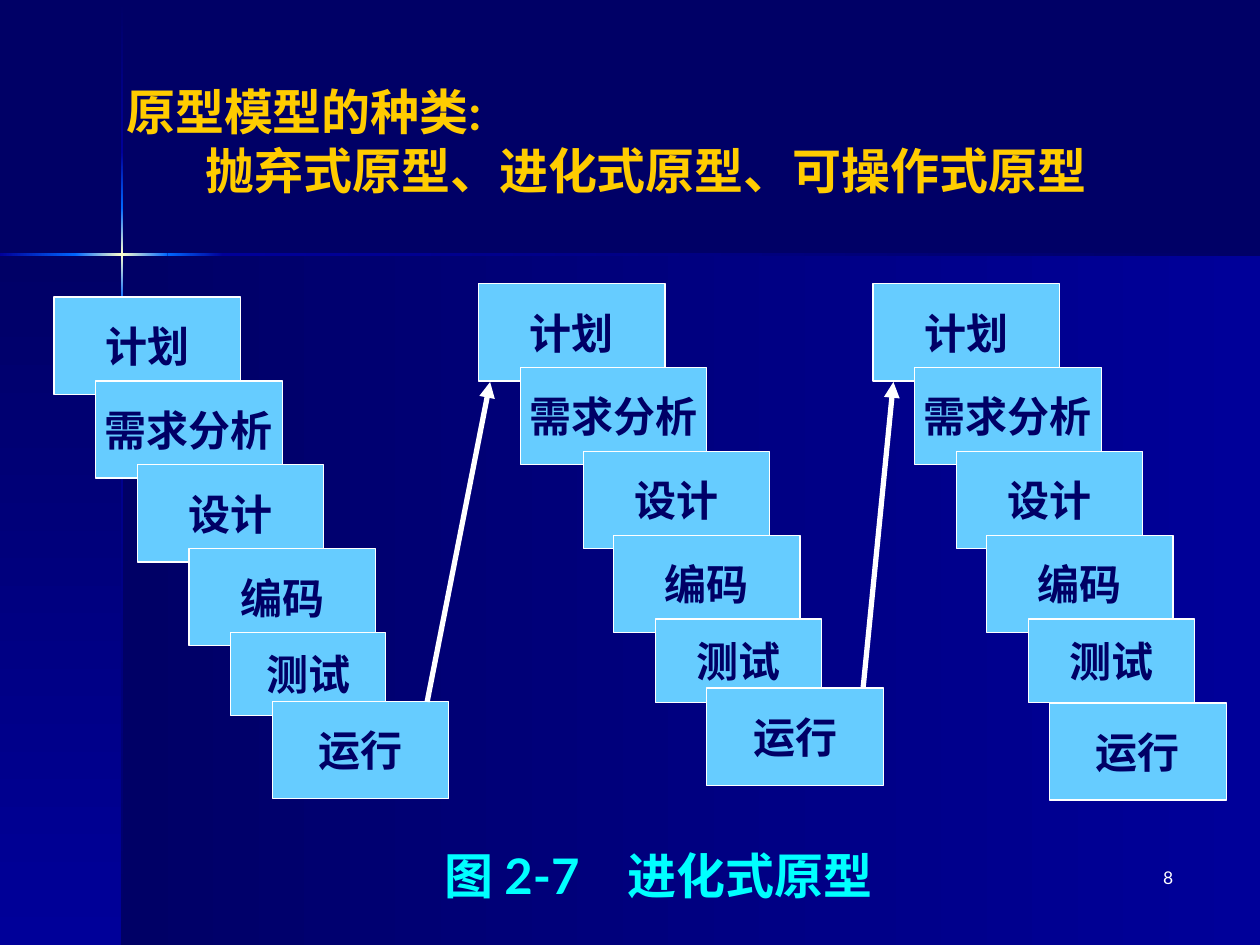
"""Build the slide on prototype model kinds with three cascades of development steps."""
import pptx
import pptx.util
import pptx.dml.color
import pptx.enum.shapes
import pptx.enum.text
import pptx.oxml.ns
from dataclasses import dataclass
from lxml import etree
from pptx.util import Cm


@dataclass(frozen=True)
class Theme:
    navy: str = "000066"
    blue: str = "000099"
    bright: str = "0066FF"
    glow: str = "FFFFCC"
    box: str = "66CCFF"
    white: str = "FFFFFF"
    gold: str = "FFCC00"
    cyan: str = "00FFFF"
    head: int = 28
    step: int = 24
    number: int = 10
    font: str = "Lato"
    box_font: str = "Times New Roman"


T = Theme()
RGB = pptx.dml.color.RGBColor.from_string
qn = pptx.oxml.ns.qn
RECT = pptx.enum.shapes.MSO_SHAPE.RECTANGLE
ALIGN = pptx.enum.text.PP_ALIGN
ANCHOR = pptx.enum.text.MSO_ANCHOR


def style(tf, size, color, name, bold=True, align=ALIGN.LEFT):
    for p in tf.paragraphs:
        p.alignment = align
        for r in p.runs:
            r.font.size = pptx.util.Pt(size)
            r.font.bold = bold
            r.font.name = name
            r.font.color.rgb = RGB(color)


def gradient_rect(x, y, w, h, angle, colors):
    sp = s.shapes.add_shape(RECT, Cm(x), Cm(y), Cm(w), Cm(h))
    sp.shadow.inherit = False
    sp.line.fill.background()
    sp.fill.gradient()
    sp.fill.gradient_angle = angle
    stops = sp.element.spPr.find(".//" + qn("a:gsLst"))
    for gs in list(stops):
        stops.remove(gs)
    for i, color in enumerate(colors):
        gs = etree.SubElement(stops, qn("a:gs"), pos=str(100000 * i // (len(colors) - 1)))
        etree.SubElement(gs, qn("a:srgbClr"), val=color)


prs = pptx.Presentation()
prs.slide_width, prs.slide_height = Cm(25.4), Cm(19.05)
s = prs.slides.add_slide(prs.slide_layouts[5])
s.background.fill.solid()
s.background.fill.fore_color.rgb = RGB(T.navy)

RIGHT, DOWN = 0, 270
gradient_rect(2.46, 5.13, 22.94, 13.92, RIGHT, [T.navy, T.blue])
gradient_rect(0, 5.13, 2.46, 13.92, DOWN, [T.navy, T.blue])
for y, h, colors in [
    (0.03, 3.04, [T.navy, T.blue]),
    (7.16, 11.89, [T.blue, T.navy]),
    (3.07, 1.12, [T.blue, T.bright]),
    (4.19, 1.86, [T.bright, T.glow, T.bright]),
]:
    gradient_rect(2.44, y, 0.05, h, DOWN, colors)
for x, w, colors in [
    (4.5, 20.9, [T.blue, T.navy]),
    (0, 1.55, [T.blue, T.bright]),
    (3.38, 1.12, [T.bright, T.blue]),
    (1.52, 1.86, [T.bright, T.glow, T.bright]),
]:
    gradient_rect(x, 5.11, w, 0.05, RIGHT, colors)

title = s.shapes.title
title.left, title.top, title.width, title.height = Cm(2.29), Cm(1.52), Cm(22.5), Cm(3.2)
tf = title.text_frame
tf.text = "原型模型的种类:\n抛弃式原型、进化式原型、可操作式原型"
tf.auto_size = pptx.enum.text.MSO_AUTO_SIZE.NONE
tf.vertical_anchor = ANCHOR.TOP
style(tf, T.head, T.gold, T.font)
pPr = tf.paragraphs[1]._p.get_or_add_pPr()
pPr.set("marL", str(Cm(1.6)))
pPr.set("indent", "0")

STEPS = ["计划", "需求分析", "设计", "编码", "测试", "运行"]
ROW = 1.69
cascades = [
    (5.99, [1.09, 1.93, 2.77, 3.81, 4.65, 5.49], 3.12, 8.15),
    (5.72, [9.65, 10.49, 11.76, 12.37, 13.21, 14.25], 3.35, 8.15),
    (5.72, [17.6, 18.44, 19.28, 19.89, 20.73, 21.16], 3.35, 5 * ROW),
]
for top, lefts, test_width, last_drop in cascades:
    widths = [3.76] * 4 + [test_width, 3.56]
    heights = [1.96] * 4 + [1.68, 1.96]
    drops = [ROW * i for i in range(5)] + [last_drop]
    for step, x, drop, w, h in zip(STEPS, lefts, drops, widths, heights):
        sp = s.shapes.add_shape(RECT, Cm(x), Cm(top + drop), Cm(w), Cm(h))
        sp.shadow.inherit = False
        sp.fill.solid()
        sp.fill.fore_color.rgb = RGB(T.box)
        sp.line.color.rgb = RGB(T.white)
        sp.line.width = pptx.util.Pt(0.75)
        tf = sp.text_frame
        tf.text = step
        tf.word_wrap = False
        tf.vertical_anchor = ANCHOR.MIDDLE
        style(tf, T.step, T.navy, T.box_font, align=ALIGN.CENTER)

for x1, y1, x2, y2 in [(8.61, 14.15, 9.88, 7.7), (17.4, 13.87, 18.01, 7.7)]:
    cx = s.shapes.add_connector(
        pptx.enum.shapes.MSO_CONNECTOR.STRAIGHT, Cm(x1), Cm(y1), Cm(x2), Cm(y2))
    cx.line.color.rgb = RGB(T.white)
    cx.line.width = pptx.util.Pt(3)
    etree.SubElement(cx.line._get_or_add_ln(), qn("a:tailEnd"), type="triangle")
    etree.SubElement(cx.element.spPr, qn("a:effectLst"))

tf = s.shapes.add_textbox(Cm(8.71), Cm(16.92), Cm(12.19), Cm(1.45)).text_frame
tf.word_wrap = True
tf.text = "图 2-7\t进化式原型"
tabs = etree.SubElement(tf.paragraphs[0]._p.get_or_add_pPr(), qn("a:tabLst"))
etree.SubElement(tabs, qn("a:tab"), pos=str(Cm(3.7)), algn="l")
style(tf, T.head, T.cyan, T.font)

tf = s.shapes.add_textbox(Cm(18.62), Cm(17.35), Cm(5.28), Cm(1.27)).text_frame
tf.word_wrap = True
tf.text = "8"
style(tf, T.number, T.white, T.font, bold=False, align=ALIGN.RIGHT)

prs.save("out.pptx")
